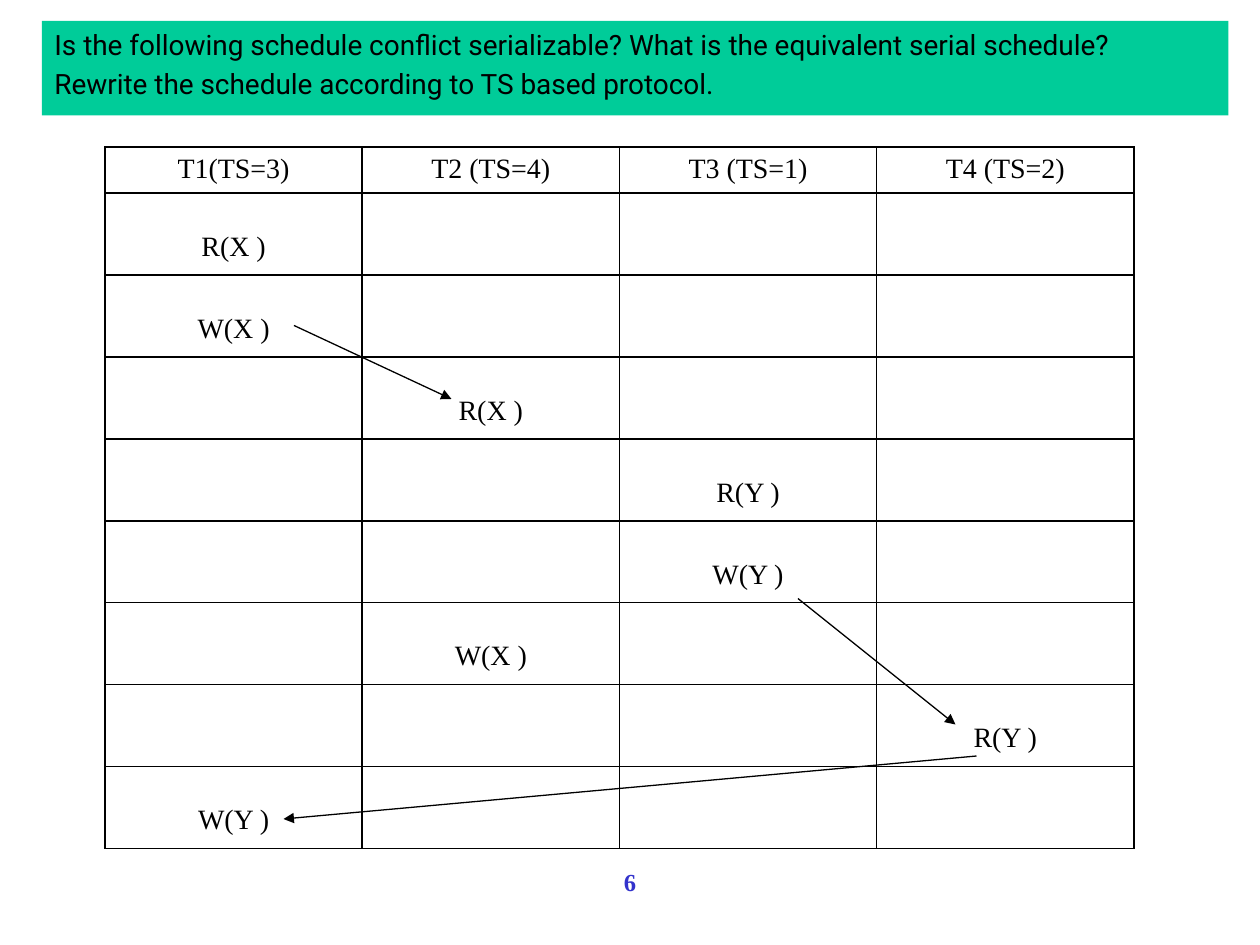
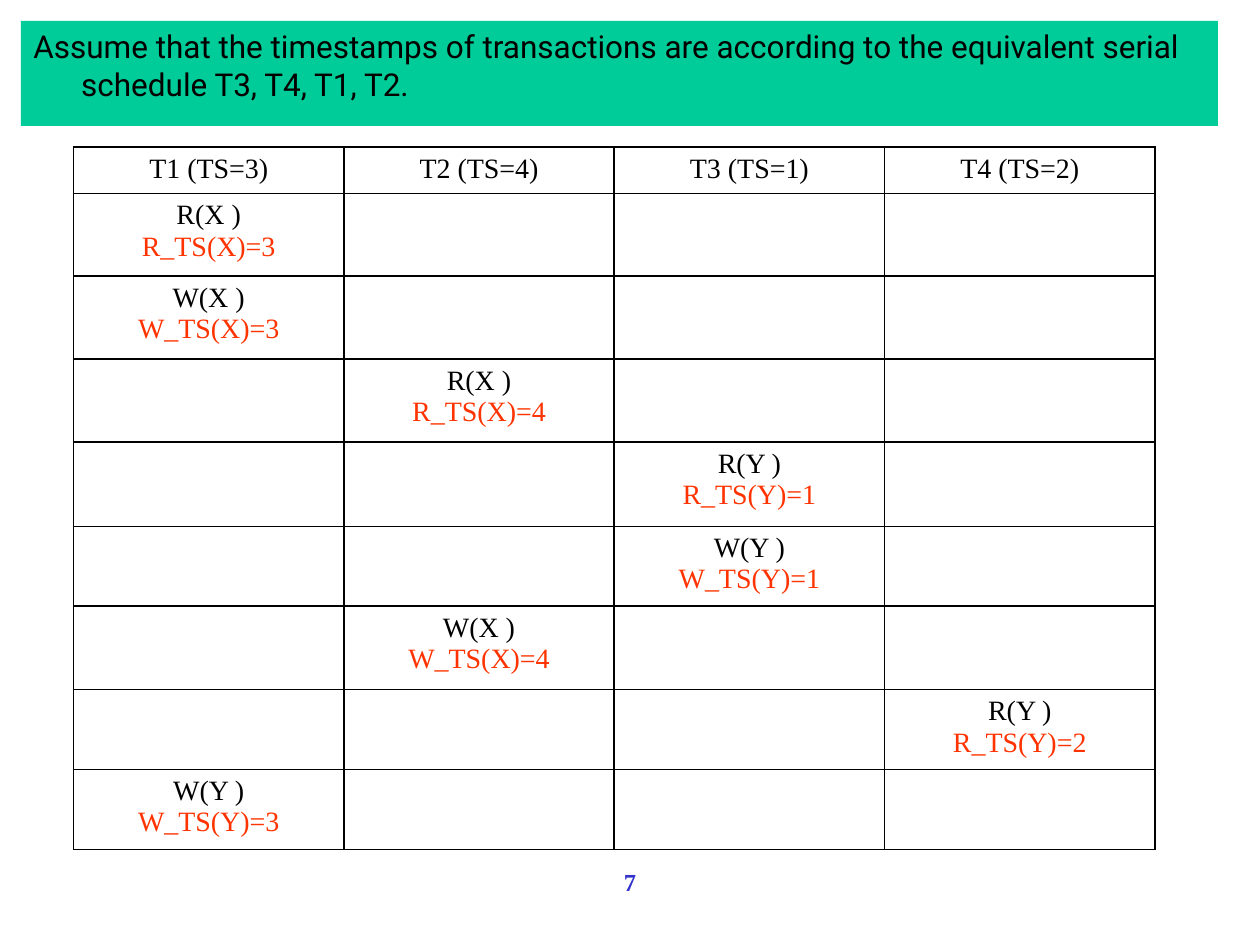
from dataclasses import dataclass
from typing import Callable, Optional

from lxml import etree
from pptx import Presentation
from pptx import util as u
from pptx.dml.color import RGBColor
from pptx.enum import shapes, text
from pptx.oxml.ns import qn

# The slide is a grid of 120 columns by 90 rows, each a twelfth of an inch.
GRID_STEP = u.Inches(1) / 12
BLACK, RED, BLUE, GREEN = "000000", "FF3300", "3333CC", "00CC99"
TITLE_FONT, BODY_FONT = "Roboto", "Times New Roman"
BODY_SIZE = 16
HANGING_INDENT = u.Inches(0.38)


@dataclass(frozen=True)
class Box:
    left: float
    top: float
    width: float
    height: float

    def place(self) -> tuple[int, int, int, int]:
        return grid(self.left), grid(self.top), grid(self.width), grid(self.height)


@dataclass(frozen=True)
class Arrow:
    start: tuple[float, float]
    end: tuple[float, float]


@dataclass(frozen=True)
class Operation:
    transaction: int
    action: str
    item: str
    timestamp: int

    def label(self) -> str:
        return f"{self.action}({self.item} )"

    def effect(self) -> str:
        return f"{self.action}_TS({self.item})={self.timestamp}"


@dataclass(frozen=True)
class Schedule:
    number: int
    title: list[str]
    title_size: float
    band: Box
    left: float
    column_width: float
    row_heights: list[float]
    headings: list[str]
    shows_timestamps: bool
    arrows: tuple[Arrow, ...] = ()


TABLE_TOP = 14
PAGE_NUMBER = Box(6, 82, 108, 6)

OPERATIONS = [
    Operation(0, "R", "X", 3),
    Operation(0, "W", "X", 3),
    Operation(1, "R", "X", 4),
    Operation(2, "R", "Y", 1),
    Operation(2, "W", "Y", 1),
    Operation(1, "W", "X", 4),
    Operation(3, "R", "Y", 2),
    Operation(0, "W", "Y", 3),
]
LATER_HEADINGS = ["T2 (TS=4)", "T3 (TS=1)", "T4 (TS=2)"]

SCHEDULES = [
    Schedule(
        number=6,
        title=[
            "Is the following schedule conflict serializable? "
            "What is the equivalent serial schedule?",
            "Rewrite the schedule according to TS based protocol.",
        ],
        title_size=16,
        band=Box(4, 2, 113, 9),
        left=10,
        column_width=24.5,
        row_heights=[4.1] + [7.8] * len(OPERATIONS),
        headings=["T1(TS=3)"] + LATER_HEADINGS,
        shows_timestamps=False,
        arrows=(
            Arrow((28, 31), (43, 38)),
            Arrow((76, 57), (91, 69)),
            Arrow((93, 72), (27, 78)),
        ),
    ),
    Schedule(
        number=7,
        title=[
            "Assume that the timestamps of transactions are according to "
            "the equivalent serial schedule T3, T4, T1, T2."
        ],
        title_size=18,
        band=Box(2, 2, 114, 10),
        left=7,
        column_width=25.75,
        row_heights=[4.45, 7.85, 7.9, 7.9, 8.05, 7.1, 7.95, 7.1, 7.1],
        headings=["T1 (TS=3)"] + LATER_HEADINGS,
        shows_timestamps=True,
    ),
]


def grid(steps: float) -> int:
    return round(steps * GRID_STEP)


def color(value: str) -> RGBColor:
    return RGBColor.from_string(value)


def write(frame, lines: list[str], *, size: float, font: str = BODY_FONT,
          colors: tuple[str, ...] = (BLACK,), bold: bool = False,
          align=text.PP_ALIGN.CENTER, gap: float = 0, hanging: bool = False) -> None:
    """Write one paragraph per line, taking the colours in turn."""
    frame.word_wrap = True
    for index, line in enumerate(lines):
        paragraph = frame.add_paragraph() if index else frame.paragraphs[0]
        paragraph.alignment = align
        if index:
            paragraph.space_before = u.Pt(gap)
        if hanging:
            properties = paragraph._p.get_or_add_pPr()
            properties.set("marL", str(HANGING_INDENT))
            properties.set("indent", str(-HANGING_INDENT))
        run = paragraph.add_run()
        run.text = line
        run.font.name = font
        run.font.size = u.Pt(size)
        run.font.bold = bold
        run.font.color.rgb = color(colors[index % len(colors)])


def add_title_band(slide, schedule: Schedule) -> None:
    band = slide.shapes.add_shape(shapes.MSO_SHAPE.RECTANGLE, *schedule.band.place())
    band.shadow.inherit = False
    band.fill.solid()
    band.fill.fore_color.rgb = color(GREEN)
    band.line.fill.background()
    band.text_frame.vertical_anchor = text.MSO_ANCHOR.TOP
    write(band.text_frame, schedule.title, size=schedule.title_size, font=TITLE_FONT,
          align=text.PP_ALIGN.LEFT, gap=0.2 * schedule.title_size, hanging=True)


def add_page_number(slide, number: int) -> None:
    box = slide.shapes.add_textbox(*PAGE_NUMBER.place())
    write(box.text_frame, [str(number)], size=14, colors=(BLUE,), bold=True)


def outline_cell(cell) -> None:
    cell.fill.background()
    properties = cell._tc.get_or_add_tcPr()
    for index, side in enumerate(("lnL", "lnR", "lnT", "lnB")):
        border = etree.Element(qn(f"a:{side}"), w=str(u.Pt(1)))
        fill = etree.SubElement(border, qn("a:solidFill"))
        etree.SubElement(fill, qn("a:srgbClr"), val=BLACK)
        properties.insert(index, border)


def fill_operation(cell, operation: Operation, shows_timestamps: bool) -> None:
    if shows_timestamps:
        write(cell.text_frame, [operation.label(), operation.effect()],
              size=BODY_SIZE, colors=(BLACK, RED))
    else:
        cell.vertical_anchor = text.MSO_ANCHOR.BOTTOM
        cell.margin_bottom = u.Inches(0.1)
        write(cell.text_frame, [operation.label()], size=BODY_SIZE)


def add_schedule_table(slide, schedule: Schedule) -> None:
    heights, headings = schedule.row_heights, schedule.headings
    box = Box(schedule.left, TABLE_TOP, schedule.column_width * len(headings), sum(heights))
    table = slide.shapes.add_table(len(heights), len(headings), *box.place()).table
    table.first_row = table.horz_banding = False
    for column in table.columns:
        column.width = grid(schedule.column_width)
    for row, height in zip(table.rows, heights):
        row.height = grid(height)
    for cell in table.iter_cells():
        outline_cell(cell)
    for column, heading in enumerate(headings):
        write(table.cell(0, column).text_frame, [heading], size=BODY_SIZE)
    for row, operation in enumerate(OPERATIONS, start=1):
        fill_operation(table.cell(row, operation.transaction), operation,
                       schedule.shows_timestamps)


def add_arrow(slide, arrow: Arrow) -> None:
    ends = [grid(steps) for steps in arrow.start + arrow.end]
    connector = slide.shapes.add_connector(shapes.MSO_CONNECTOR.STRAIGHT, *ends)
    connector.line.color.rgb = color(BLACK)
    connector.line.width = u.Pt(0.75)
    etree.SubElement(connector.line._get_or_add_ln(), qn("a:tailEnd"), type="triangle")
    etree.SubElement(connector._element.spPr, qn("a:effectLst"))


def add_schedule_slide(presentation, schedule: Schedule) -> None:
    slide = presentation.slides.add_slide(presentation.slide_layouts[6])
    add_page_number(slide, schedule.number)
    add_title_band(slide, schedule)
    add_schedule_table(slide, schedule)
    for arrow in schedule.arrows:
        add_arrow(slide, arrow)


def main() -> None:
    presentation = Presentation()
    presentation.slide_width, presentation.slide_height = grid(120), grid(90)
    for schedule in SCHEDULES:
        add_schedule_slide(presentation, schedule)
    presentation.save("out.pptx")


if __name__ == "__main__":
    main()
